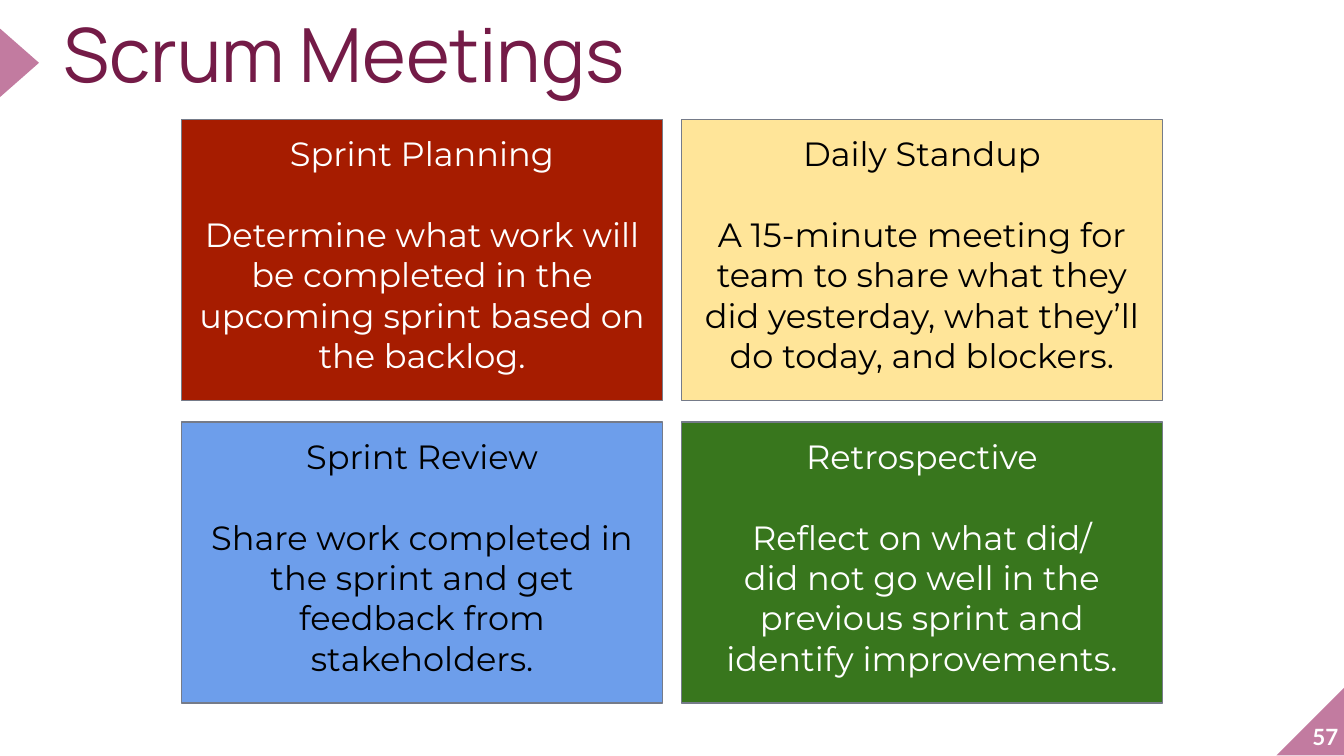
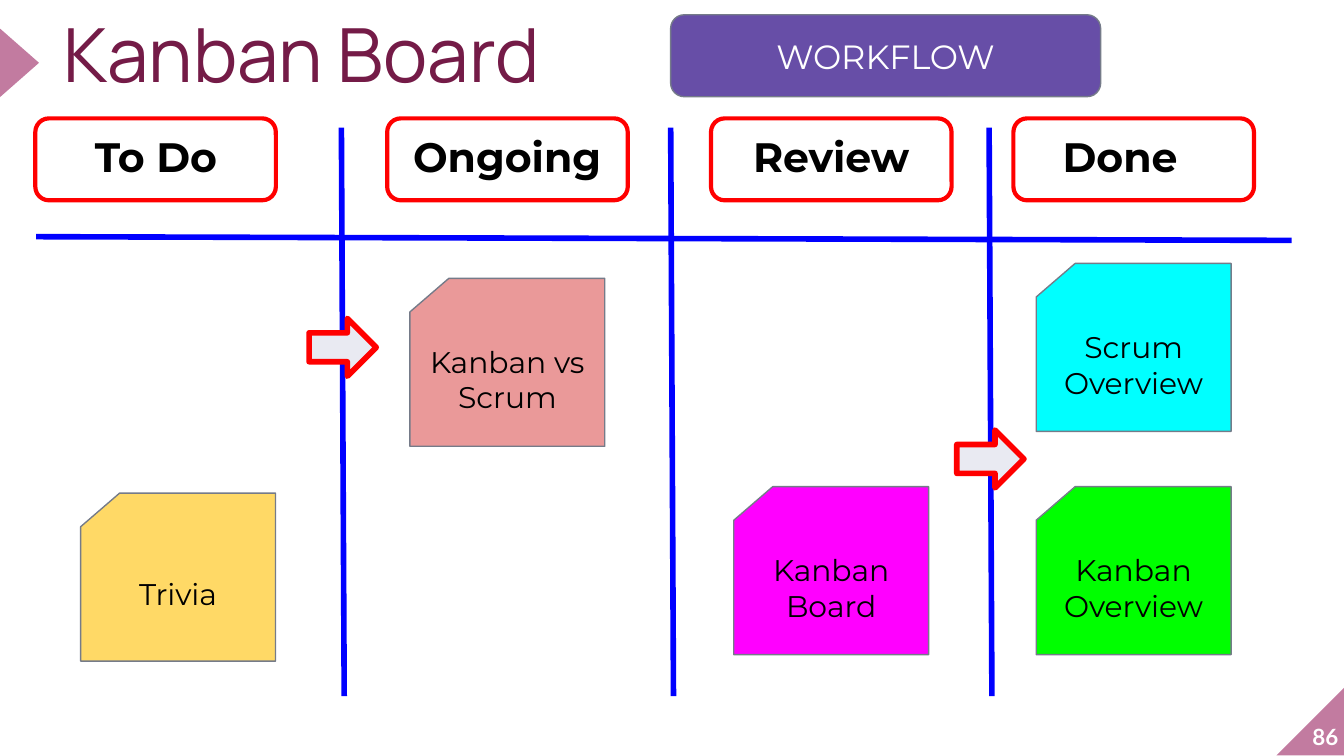
from dataclasses import dataclass

from lxml.etree import SubElement
from pptx import Presentation
from pptx.dml.color import RGBColor
from pptx.enum.shapes import MSO_CONNECTOR, MSO_SHAPE
from pptx.enum.text import MSO_ANCHOR, PP_ALIGN
from pptx.oxml.ns import qn
from pptx.util import Pt


@dataclass(frozen=True)
class Theme:
    # Colours
    accent: str = "C27BA0"
    heading: str = "741B47"
    white: str = "FFFFFF"
    black: str = "000000"
    outline: str = "757B89"
    divider: str = "0000FF"
    highlight: str = "FF0000"
    arrow: str = "E9EAF2"
    banner: str = "674EA7"
    # Fonts and type sizes
    title_font: str = "Manrope"
    body_font: str = "Montserrat"
    number_font: str = "Lato"
    title_size: float = 40
    column_size: float = 22
    body_size: float = 18
    card_size: float = 16
    number_size: float = 12


@dataclass(frozen=True)
class Box:
    left: float
    top: float
    width: float
    height: float

    def within(self, left, top, width, height):
        return Box(self.left + left, self.top + top, width, height)

    def lengths(self):
        return Pt(self.left), Pt(self.top), Pt(self.width), Pt(self.height)


THEME = Theme()
PAGE = Box(0, 0, 720, 405)
MEETINGS_BOX = Box(97.2, 64.1, 525.6, 312.5)
BOARD_BOX = Box(18.9, 63.4, 673, 309.6)
BANNER_BOX = Box(359.3, 7.9, 230.4, 43.9)

# Fill, text colour, name, description lines
MEETINGS = [
    ("A61C00", THEME.white, "Sprint Planning",
     ["Determine what work will be completed in the upcoming sprint "
      "based on the backlog."]),
    ("FFE599", THEME.black, "Daily Standup",
     ["A 15-minute meeting for team to share what they did yesterday, "
      "what they’ll do today, and blockers."]),
    ("6D9EEB", THEME.black, "Sprint Review",
     ["Share work completed in", "the sprint and get", "feedback from",
      "stakeholders."]),
    ("38761D", THEME.white, "Retrospective",
     ["Reflect on what did/",
      "did not go well in the previous sprint and identify improvements."]),
]

# Name, left edge, label shift, cards as (left, top, fill, lines)
COLUMNS = [
    ("To Do", 0, 1, [(24.3, 200.8, "FFD966", ["Trivia"])]),
    ("Ongoing", 188.5, 0.7, [(12.2, 85.7, "EA9999", ["Kanban vs Scrum"])]),
    ("Review", 362, 0.7, [(12.2, 197.3, "FF00FF", ["Kanban Board"])]),
    ("Done", 524, -6.5, [(12.2, 77.7, "00FFFF", ["Scrum Overview"]),
                         (12.2, 197.3, "00FF00", ["Kanban", "Overview"])]),
]
DIVIDERS = [164, 340.4, 511]
ARROWS = [(146.7, 107.2), (493.7, 167)]


def rgb(value):
    return RGBColor.from_string(value)


def write(shape, lines, font, size, color, bold=False,
          align=PP_ALIGN.CENTER, anchor=MSO_ANCHOR.TOP, inset=7.2):
    frame = shape.text_frame
    frame.word_wrap = True
    frame.vertical_anchor = anchor
    frame.margin_left = frame.margin_right = Pt(inset)
    frame.margin_top = frame.margin_bottom = Pt(inset)
    for index, line in enumerate(lines):
        paragraph = frame.paragraphs[0] if index == 0 else frame.add_paragraph()
        paragraph.text = line
        paragraph.alignment = align
        paragraph.font.name = font
        paragraph.font.size = Pt(size)
        paragraph.font.bold = bold
        paragraph.font.color.rgb = rgb(color)
    return frame.paragraphs


def add_text(slide, box, lines, *style, **options):
    return write(slide.shapes.add_textbox(*box.lengths()), lines,
                 *style, **options)


def add_block(slide, kind, box, fill=None, line=None, weight=0.75):
    block = slide.shapes.add_shape(kind, *box.lengths())
    block.shadow.inherit = False
    if fill:
        block.fill.solid()
        block.fill.fore_color.rgb = rgb(fill)
    else:
        block.fill.background()
    if line:
        block.line.color.rgb = rgb(line)
        block.line.width = Pt(weight)
    else:
        block.line.fill.background()
    return block


def add_divider(slide, x1, y1, x2, y2):
    divider = slide.shapes.add_connector(
        MSO_CONNECTOR.STRAIGHT, Pt(x1), Pt(y1), Pt(x2), Pt(y2))
    divider.line.color.rgb = rgb(THEME.divider)
    divider.line.width = Pt(3)
    SubElement(divider._element.spPr, qn("a:effectLst"))


def add_base(deck, title, number, page):
    slide = deck.slides.add_slide(deck.slide_layouts[6])
    # Corner and title marker
    corner = add_block(slide, MSO_SHAPE.RIGHT_TRIANGLE,
                       page.within(683.8, 368.2, 36.5, 36.5), THEME.accent)
    corner.rotation = 270
    marker = add_block(slide, MSO_SHAPE.ISOSCELES_TRIANGLE,
                       page.within(-7.9, 23.2, 36.7, 20.9), THEME.accent)
    marker.rotation = 90
    # Page number
    add_text(slide, page.within(681, 365, 36, 36.7), [number],
             THEME.number_font, THEME.number_size, THEME.white, bold=True,
             align=PP_ALIGN.RIGHT, anchor=MSO_ANCHOR.BOTTOM, inset=0)
    # Title
    heading = add_text(slide, page.within(33.8, 13.7, 504, 49.7), [title],
                       THEME.title_font, THEME.title_size, THEME.heading,
                       align=PP_ALIGN.LEFT, inset=0)
    heading[0].line_spacing = 0.8
    return slide


def add_meetings(slide, box):
    gap_x, gap_y = 10, 11.5
    width, height = (box.width - gap_x) / 2, (box.height - gap_y) / 2
    for index, (fill, color, name, description) in enumerate(MEETINGS):
        row, column = divmod(index, 2)
        place = box.within(column * (width + gap_x), row * (height + gap_y),
                           width, height)
        meeting = add_block(slide, MSO_SHAPE.RECTANGLE, place, fill,
                            THEME.outline)
        paragraphs = write(meeting, [name, *description], THEME.body_font,
                           THEME.body_size, color)
        paragraphs[1].space_before = Pt(21.8)


def add_banner(slide, box):
    banner = add_block(slide, MSO_SHAPE.ROUNDED_RECTANGLE, box, THEME.banner,
                       THEME.outline)
    write(banner, ["WORKFLOW"], THEME.body_font, THEME.body_size, THEME.white,
          anchor=MSO_ANCHOR.MIDDLE)


def add_column(slide, box, name, label_shift, cards):
    # Heading and its frame
    add_text(slide, box.within(label_shift, 0, 127.4, 31), [name],
             THEME.body_font, THEME.column_size, THEME.black, bold=True)
    add_block(slide, MSO_SHAPE.ROUNDED_RECTANGLE,
              box.within(0, 0, box.width, 43.9),
              line=THEME.highlight, weight=2.25)
    # Cards
    for left, top, fill, lines in cards:
        card = add_block(slide, MSO_SHAPE.FLOWCHART_CARD,
                         box.within(left, top, 104.4, 90), fill, THEME.outline)
        write(card, lines, THEME.body_font, THEME.card_size, THEME.black,
              anchor=MSO_ANCHOR.MIDDLE)


def add_board(slide, box):
    # Slightly slanted grid lines
    right, bottom = box.left + box.width, box.top + box.height
    add_divider(slide, box.left + 0.5, box.top + 63.4, right, box.top + 65.4)
    for offset in DIVIDERS:
        x = box.left + offset
        add_divider(slide, x + 1.5, bottom, x, box.top + 5)
    for name, left, label_shift, cards in COLUMNS:
        add_column(slide, box.within(left, 0, 128.9, box.height),
                   name, label_shift, cards)
    # Arrows between columns
    for left, top in ARROWS:
        add_block(slide, MSO_SHAPE.RIGHT_ARROW, box.within(left, top, 36, 31),
                  THEME.arrow, THEME.highlight, 3)


def main():
    deck = Presentation()
    deck.slide_width, deck.slide_height = Pt(PAGE.width), Pt(PAGE.height)
    meetings = add_base(deck, "Scrum Meetings", "57", PAGE)
    add_meetings(meetings, MEETINGS_BOX)
    kanban = add_base(deck, "Kanban Board", "86", PAGE)
    add_board(kanban, BOARD_BOX)
    add_banner(kanban, BANNER_BOX)
    deck.save("out.pptx")


if __name__ == "__main__":
    main()
